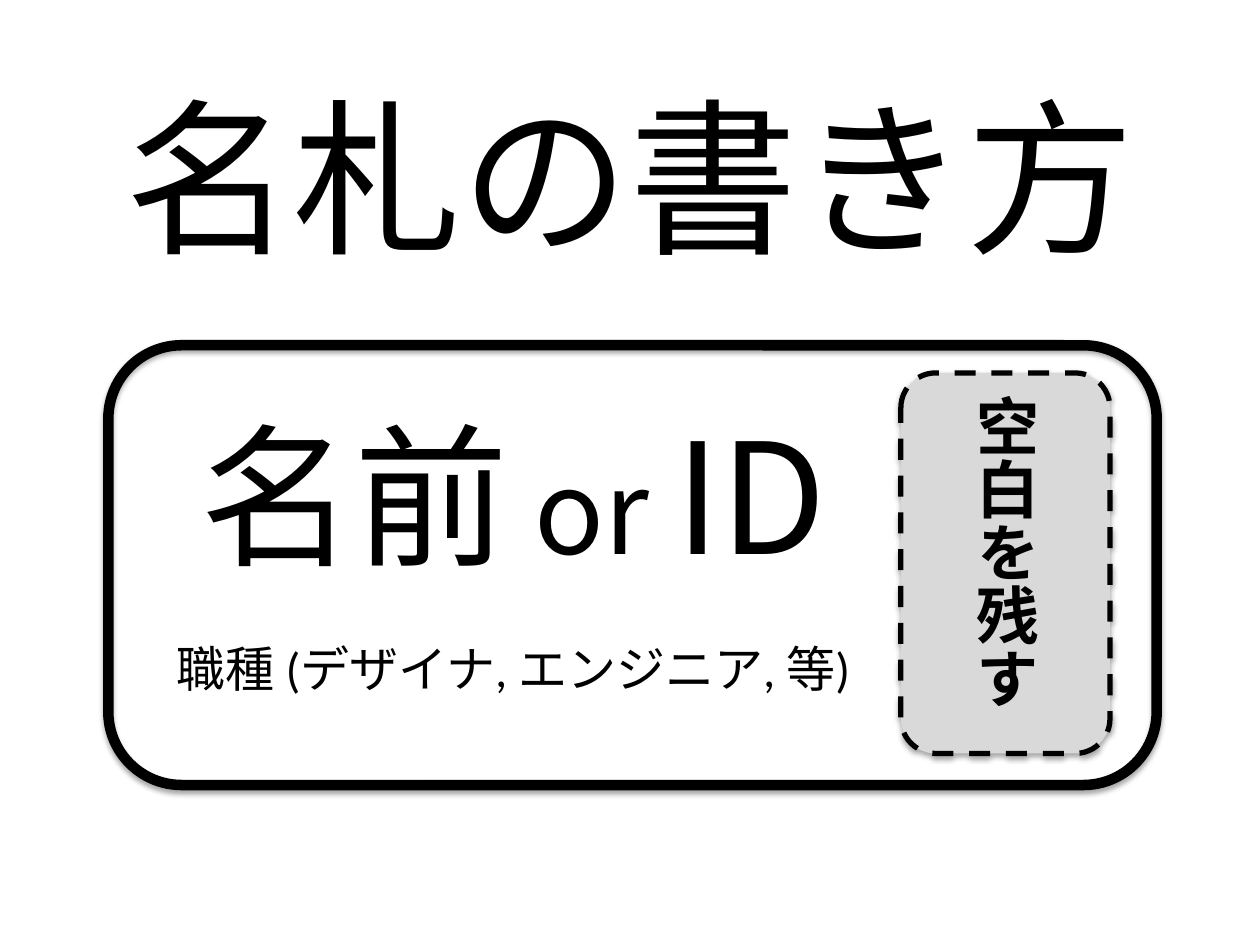
import pptx
import pptx.dml.color
import pptx.enum.dml
import pptx.enum.shapes
import pptx.enum.text
import pptx.oxml
import pptx.oxml.ns
import pptx.util
from lxml import etree

Pt = pptx.util.Pt
ANCHOR = pptx.enum.text.MSO_ANCHOR
THEME = {
    "black": "000000", "gray": "D9D9D9",
    "japanese": "Noto Sans CJK JP", "latin": "Calibri",
    "title": 96, "name": 88, "or": 66, "blank": 36, "job": 28,
}

# Each run: text, size name
TITLE = [("名札の書き方", "title")]
NAME = [("名前", "name"), (" or ", "or"), ("ID", "name")]
JOB = [("職種 (デザイナ, エンジニア, 等)", "job")]
BLANK = [("空白を残す", "blank")]

# Left, top, width, height
TITLE_BOX = (36, 21.6, 648, 156.24)
BADGE_BOX = (61.92, 197.28, 599.04, 251.28)
NAME_BOX = (82.8, 225.36, 421.2, 113.76)
JOB_BOX = (82.8, 361.44, 421.2, 41.04)
BLANK_BOX = (514.8, 213.12, 119.52, 217.44)


def color(name):
    """Return a theme colour."""
    return pptx.dml.color.RGBColor.from_string(THEME[name])


def write(shape, runs, face="japanese", anchor=ANCHOR.MIDDLE, bold=False):
    """Fill a shape with one centred paragraph."""
    frame = shape.text_frame
    frame.word_wrap = True
    frame.vertical_anchor = anchor
    paragraph = frame.paragraphs[0]
    paragraph.alignment = pptx.enum.text.PP_ALIGN.CENTER
    paragraph.font.bold = bold
    for text, size in runs:
        run = paragraph.add_run()
        run.text = text
        run.font.size = Pt(THEME[size])
        run.font.name = THEME[face]
        run.font.color.rgb = color("black")
        east_asian = etree.Element(pptx.oxml.ns.qn("a:ea"), typeface=THEME["japanese"])
        run.font._element.find(pptx.oxml.ns.qn("a:latin")).addnext(east_asian)


def add_text(slide, box, runs, grow=False, **style):
    """Add a text box."""
    shape = slide.shapes.add_textbox(*map(Pt, box))
    write(shape, runs, **style)
    if grow:
        shape.text_frame.auto_size = pptx.enum.text.MSO_AUTO_SIZE.SHAPE_TO_FIT_TEXT


def add_card(slide, box, line_width, fill=None):
    """Add a rounded rectangle with a soft shadow below."""
    kind = pptx.enum.shapes.MSO_SHAPE.ROUNDED_RECTANGLE
    shape = slide.shapes.add_shape(kind, *map(Pt, box))
    if fill:
        shape.fill.solid()
        shape.fill.fore_color.rgb = color(fill)
    else:
        shape.fill.background()
    shape.line.color.rgb = color("black")
    shape.line.width = Pt(line_width)
    shape.shadow.inherit = False
    effects = shape._element.spPr.find(pptx.oxml.ns.qn("a:effectLst"))
    effects.append(pptx.oxml.parse_xml(
        f'<a:outerShdw {pptx.oxml.ns.nsdecls("a")} blurRad="{Pt(3.1)}" dist="{Pt(1.8)}" '
        f'dir="5400000" rotWithShape="0"><a:srgbClr val="{THEME["black"]}">'
        '<a:alpha val="35000"/></a:srgbClr></a:outerShdw>'))
    return shape


presentation = pptx.Presentation()
presentation.slide_width, presentation.slide_height = Pt(720), Pt(540)
slide = presentation.slides.add_slide(presentation.slide_layouts[6])

add_text(slide, TITLE_BOX, TITLE)
add_card(slide, BADGE_BOX, 6)
add_text(slide, NAME_BOX, NAME, grow=True, anchor=ANCHOR.TOP)
blank = add_card(slide, BLANK_BOX, 3, "gray")
blank.line.dash_style = pptx.enum.dml.MSO_LINE.DASH
write(blank, BLANK, bold=True)
blank.text_frame._txBody.bodyPr.set("vert", "eaVert")
add_text(slide, JOB_BOX, JOB, grow=True, face="latin")

presentation.save("out.pptx")
